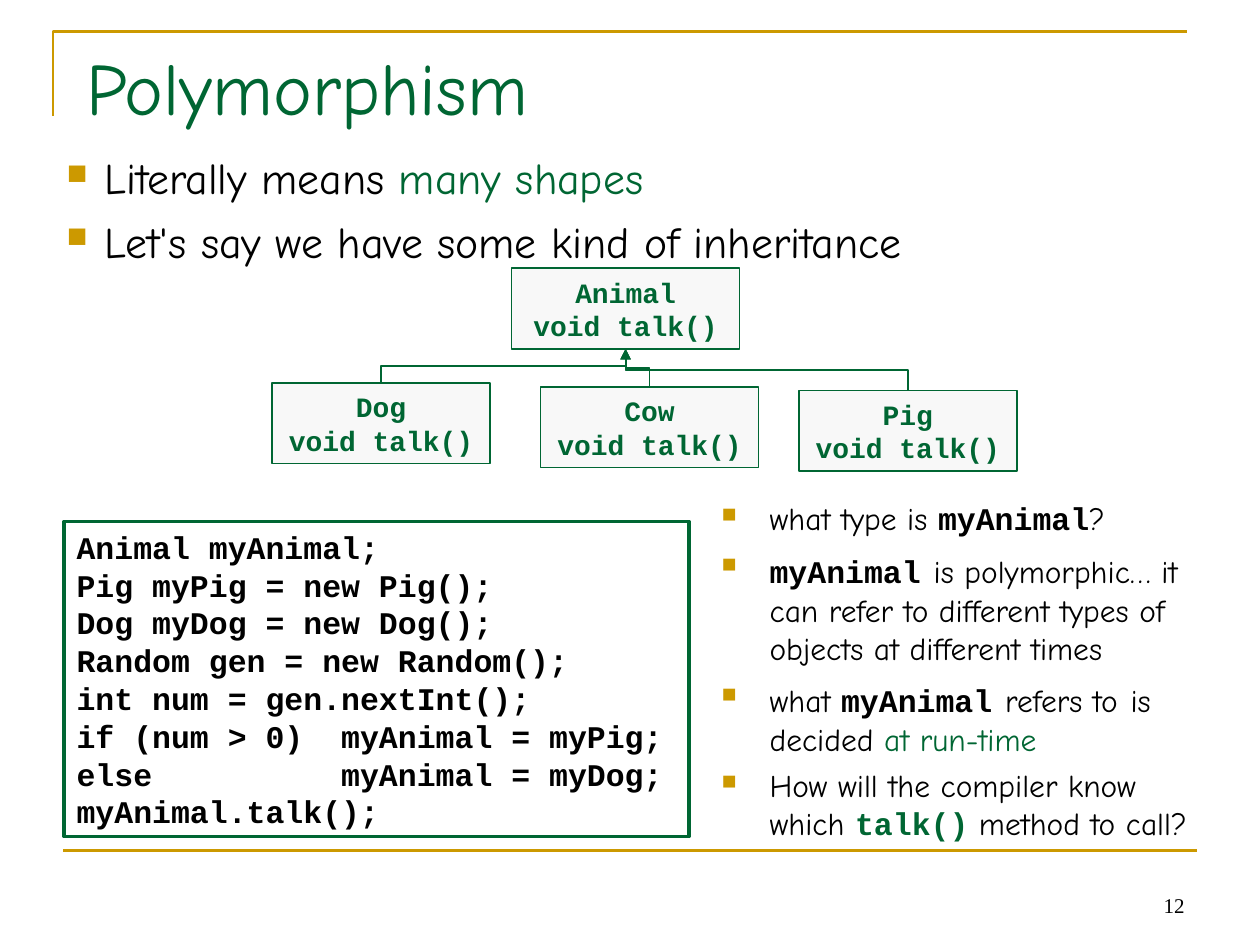
import pptx
import pptx.util
import pptx.dml.color
import pptx.enum.shapes
import pptx.enum.text
import pptx.oxml
import pptx.oxml.ns

SHAPES = pptx.enum.shapes
ALIGN = pptx.enum.text.PP_ALIGN
ANCHOR = pptx.enum.text.MSO_ANCHOR
GREEN, GOLD, BLACK, PALE = "006633", "CC9900", "000000", "F8F8F8"
HAND, CODE, SERIF = "Comic Neue", "Courier New", "Times New Roman"
COLS, ROWS = 100, 75


def color(text):
    return pptx.dml.color.RGBColor.from_string(text)


def apply(target, values):
    for name, value in values.items():
        setattr(target, name, value)


class Deck:
    """Holds the style and the current slide; places are (col, row, cols, rows)."""

    def __init__(self):
        self.show = pptx.Presentation()
        apply(self.show, {"slide_width": pptx.util.Inches(10),
                          "slide_height": pptx.util.Inches(7.5)})
        self.slide = self.show.slides.add_slide(self.show.slide_layouts[6])
        self.shapes = self.slide.shapes

    def col(self, count):
        return round(self.show.slide_width * count / COLS)

    def row(self, count):
        return round(self.show.slide_height * count / ROWS)

    def place(self, spot):
        left, top, width, height = spot
        return self.col(left), self.row(top), self.col(width), self.row(height)

    def add_xml(self, parent, tag, values=""):
        space = pptx.oxml.ns.nsdecls("a")
        parent.append(pptx.oxml.parse_xml(f"<a:{tag} {space} {values}/>"))

    def stroke(self, line, tint, width):
        line.color.rgb = color(tint)
        line.width = pptx.util.Pt(width)

    def letter(self, shape, paras, base, para={}, frame={}, bullet=None):
        """Each paragraph is a list of (text, changes to the base format)."""
        box = shape.text_frame
        apply(box, {"word_wrap": True, **frame})
        for i, runs in enumerate(paras):
            item = box.add_paragraph() if i else box.paragraphs[0]
            if bullet:
                self.mark(item, bullet)
            apply(item, para)
            if not i:
                item.space_before = pptx.util.Pt(0)
            for text, change in runs:
                look = {**base, **change}
                run = item.add_run()
                run.text = text
                run.font.color.rgb = color(look.pop("tint"))
                look["size"] = pptx.util.Pt(look["size"])
                apply(run.font, look)

    def mark(self, item, indent):
        props = item._p.get_or_add_pPr()
        step = pptx.util.Inches(indent)
        props.set("marL", str(step))
        props.set("indent", str(-step))
        tint = pptx.oxml.parse_xml(
            f'<a:buClr {pptx.oxml.ns.nsdecls("a")}><a:srgbClr val="{GOLD}"/></a:buClr>')
        props.append(tint)
        self.add_xml(props, "buSzPct", 'val="65000"')
        self.add_xml(props, "buChar", 'char="■"')

    def text(self, spot, paras, base, **style):
        self.letter(self.shapes.add_textbox(*self.place(spot)), paras, base, **style)

    def box(self, spot, paras, base, fill=None, width=1, **style):
        shape = self.shapes.add_shape(SHAPES.MSO_SHAPE.RECTANGLE, *self.place(spot))
        shape.shadow.inherit = False
        if fill:
            shape.fill.solid()
            shape.fill.fore_color.rgb = color(fill)
        else:
            shape.fill.background()
        self.stroke(shape.line, GREEN, width)
        self.letter(shape, paras, base, **style)

    def link(self, kind, start, end, tint, width):
        line = self.shapes.add_connector(
            kind, self.col(start[0]), self.row(start[1]),
            self.col(end[0]), self.row(end[1]))
        self.stroke(line.line, tint, width)
        self.add_xml(line._element.spPr, "effectLst")
        return line

    def rule(self, start, end):
        self.link(SHAPES.MSO_CONNECTOR.STRAIGHT, start, end, GOLD, 1.5)

    def branch(self, start, end):
        """Elbow that leaves and arrives upright: a level one, turned a quarter."""
        (x1, y1), (x2, y2) = start, end
        mid_x, mid_y = (x1 + x2) / 2, (y1 + y2) / 2
        side = 1 if x2 > x1 else -1
        reach, drop = abs(x2 - x1) / 2, side * (y2 - y1) / 2
        line = self.link(SHAPES.MSO_CONNECTOR.ELBOW, (mid_x + drop, mid_y - reach),
                         (mid_x - drop, mid_y + reach), GREEN, 1)
        frame = line._element.spPr.find(pptx.oxml.ns.qn("a:xfrm"))
        frame.set("rot", str((270 if side > 0 else 90) * 60000))
        self.add_xml(line.line._get_or_add_ln(), "headEnd", 'type="triangle"')

    def corner(self, points):
        spots = [(self.col(x), self.row(y)) for x, y in points]
        pen = self.shapes.build_freeform(*spots[0])
        pen.add_line_segments(spots[1:], close=False)
        shape = pen.convert_to_shape()
        shape.shadow.inherit = False
        shape.fill.background()
        self.stroke(shape.line, GOLD, 1.5)


def main():
    deck = Deck()
    plain = {"name": HAND, "size": 18, "tint": BLACK, "bold": False}
    code = {"name": CODE, "size": 18, "tint": BLACK, "bold": True}
    green, wide = {"tint": GREEN}, {"size": 22}

    # Frame lines and page number
    deck.corner([(4.2, 9.2), (4.2, 2.5), (94.2, 2.5)])
    deck.rule((5, 67.5), (95, 67.5))
    deck.text((71.7, 68.3, 23.3, 5), [[("12", {})]],
              {"name": SERIF, "size": 12, "tint": BLACK},
              para={"alignment": ALIGN.RIGHT},
              frame={"vertical_anchor": ANCHOR.BOTTOM})

    # Title and opening points
    deck.text((5.9, 2.8, 85, 8.5), [[("Polymorphism", {})]],
              {**plain, "size": 42, "tint": GREEN},
              frame={"vertical_anchor": ANCHOR.BOTTOM,
                     "margin_bottom": pptx.util.Inches(0.1)})
    deck.text((4.3, 11.5, 92.1, 58.3),
              [[("Literally means ", {}), ("many shapes", green)],
               [("Let's say we have some kind of inheritance", {})]],
              {**plain, "size": 25}, bullet=0.3,
              para={"space_before": pptx.util.Pt(6.2)})

    # Class tree
    wide_box, child_box, tall = 18.1, 17.3, 6.4
    root = (40.6, 21.3)
    foot = (root[0] + wide_box / 2, root[1] + tall)
    kids = {"Dog": (21.6, 30.4), "Cow": (42.9, 30.7), "Pig": (63.4, 31)}
    for left, top in kids.values():
        deck.branch(foot, (left + child_box / 2, top))
    for name, (left, top) in {"Animal": root, **kids}.items():
        width = wide_box if name == "Animal" else child_box
        deck.box((left, top, width, tall), [[(name, {})], [("void talk()", {})]],
                 {**code, "size": 16, "tint": GREEN}, fill=PALE,
                 para={"alignment": ALIGN.CENTER},
                 frame={"vertical_anchor": ANCHOR.MIDDLE})

    # Code sample
    lines = ["Animal myAnimal;",
             "Pig myPig = new Pig();",
             "Dog myDog = new Dog();",
             "Random gen = new Random();",
             "int num = gen.nextInt();",
             "if (num > 0)  myAnimal = myPig;",
             "else          myAnimal = myDog;",
             "myAnimal.talk();"]
    deck.box((5.1, 41.4, 49.6, 25), [[(line, {})] for line in lines], code, width=2,
             para={"alignment": ALIGN.LEFT}, frame={"vertical_anchor": ANCHOR.TOP})

    # Questions beside the code
    pet, gap = ("myAnimal", code), (" ", wide)
    deck.text((56.3, 39.1, 41, 32.8),
              [[("what type is ", {}), pet, ("?", {})],
               [pet, gap, ("is polymorphic… it can refer to different types of "
                           "objects at different times", {})],
               [("what ", {}), pet, gap, ("refers to", {}), gap, ("is", {}), gap,
                ("decided ", {}), ("at run-time", green)],
               [("How will the compiler know which ", {}),
                ("talk()", {**code, **green}), (" method to call?", {})]],
              plain, bullet=0.38, para={"space_before": pptx.util.Pt(4.5)})

    deck.show.save("out.pptx")


if __name__ == "__main__":
    main()
